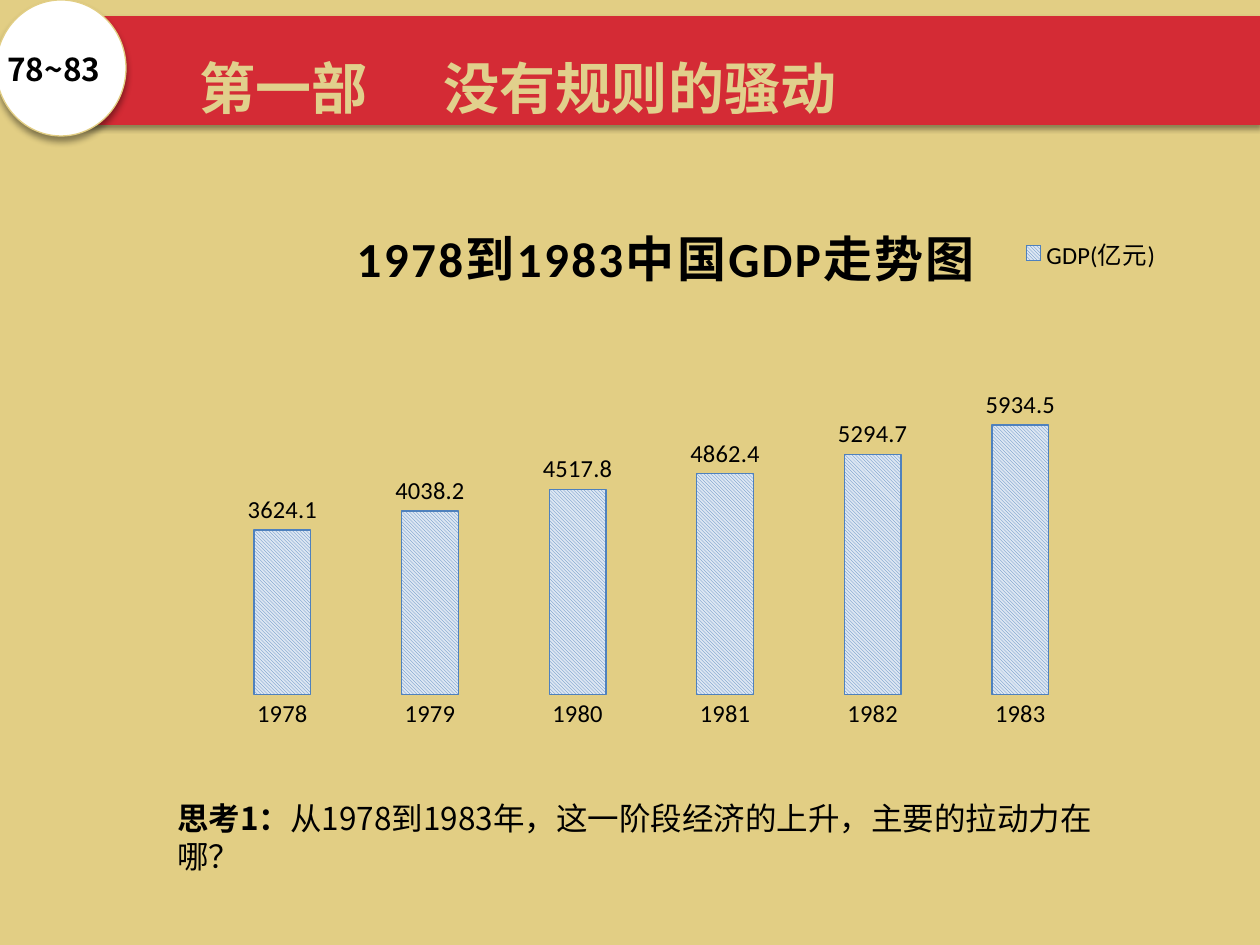
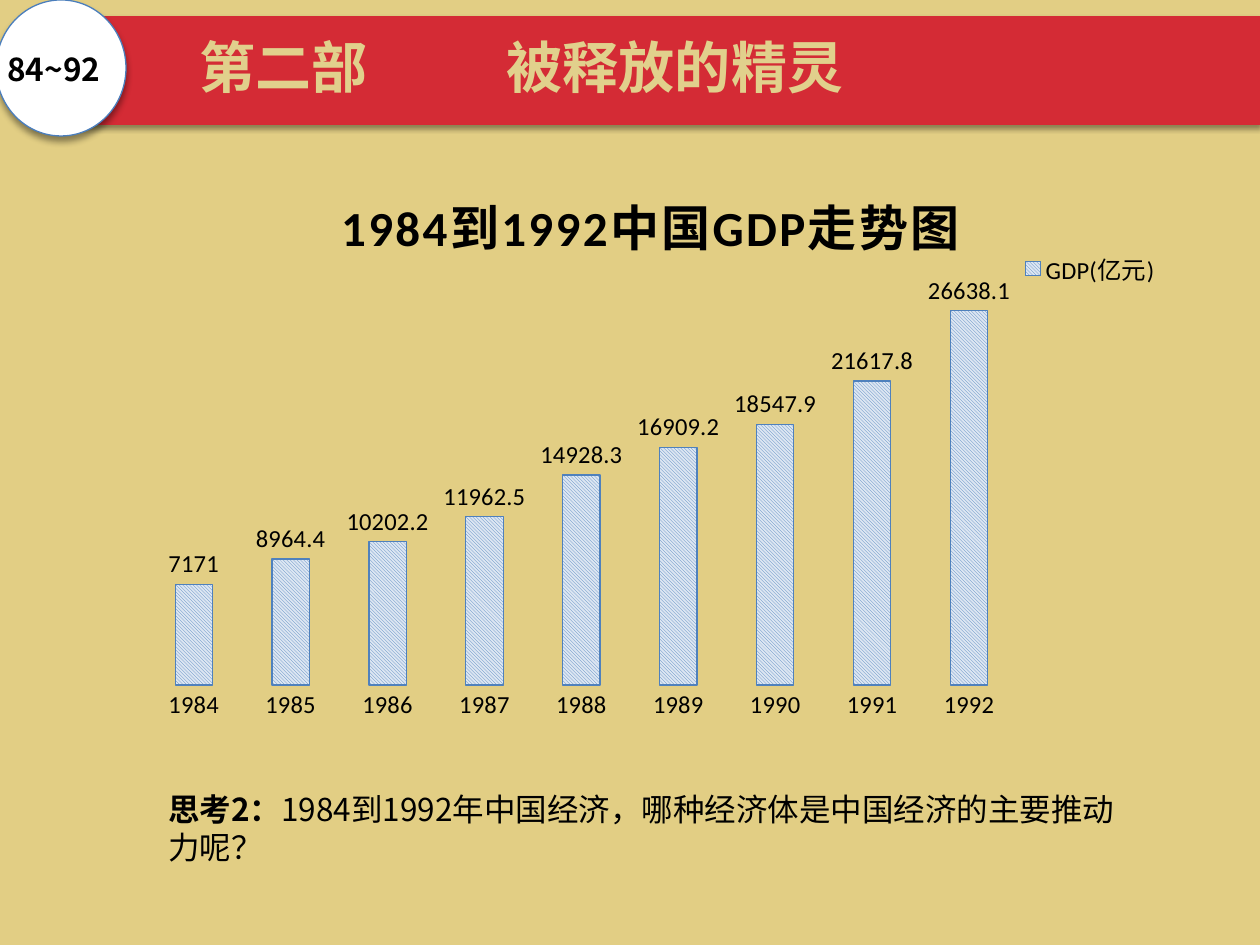
import pptx
import pptx.util
import pptx.chart.data
import pptx.dml.color
import pptx.enum.chart
import pptx.enum.dml
import pptx.enum.shapes
import pptx.enum.text
import pptx.oxml
import pptx.oxml.ns
from lxml import etree

# Shared look
EMU_PER_PX = 914400 / 126
COLOURS = {
    "sand": "E2CE84", "red": "D42B35", "title": "E1D08C", "white": "FFFFFF",
    "black": "000000", "blue": "4F81BD", "pale": "DCE6F2", "ring": "4B7EBC",
}
CJK_FONT = "Noto Sans CJK SC"
CHART_FONT = "Calibri"
ANCHOR = pptx.enum.text.MSO_ANCHOR
SHAPE = pptx.enum.shapes.MSO_SHAPE

SLIDES = [
    dict(title=("第一部", "没有规则的骚动"), title_tab=244, title_spacing=1.5,
         badge="78~83", badge_line="sand",
         chart=dict(title="1978到1983中国GDP走势图", box=(-19, 165, 1265, 595),
                    first_year=1978,
                    values=[3624.1, 4038.2, 4517.8, 4862.4, 5294.7, 5934.5],
                    top=8000, step=2000, plot=(0.18, 0.28, 0.7, 0.61),
                    title_at=(0.29, 0.07), legend_at=(0.82, 0.11)),
         question=("思考1：", "从1978到1983年，这一阶段经济的上升，主要的拉动力在哪？"),
         question_box=(165, 793, 965, 89)),
    dict(title=("第二部", "被释放的精灵"), title_tab=307, title_spacing=0.9,
         badge="84~92", badge_line="ring",
         chart=dict(title="1984到1992中国GDP走势图", box=(-54, 152, 1246, 586),
                    first_year=1984,
                    values=[7171, 8964.4, 10202.2, 11962.5, 14928.3, 16909.2,
                            18547.9, 21617.8, 26638.1],
                    top=30000, step=10000, plot=(0.16, 0.19, 0.7, 0.72),
                    title_at=(0.31, 0.04), legend_at=(0.86, 0.16)),
         question=("思考2：", "1984到1992年中国经济，哪种经济体是中国经济的主要推动力呢？"),
         question_box=(156, 784, 982, 89)),
]


def px(n):
    return pptx.util.Emu(round(n * EMU_PER_PX))


def rgb(name):
    return pptx.dml.color.RGBColor.from_string(COLOURS[name])


def set_font(font, size, colour="black", name=CJK_FONT, bold=None):
    font.size = pptx.util.Pt(size)
    font.color.rgb = rgb(colour)
    font.name = name
    font.bold = bold


def set_east_asian(r):
    ea = etree.SubElement(r.font._element, pptx.oxml.ns.qn("a:ea"))
    ea.set("typeface", CJK_FONT)


def add_run(p, text, bold=None):
    r = p.add_run()
    r.text = text
    if bold is not None:
        r.font.bold = bold
    set_east_asian(r)


def add_shadow(sp, alpha, blur, dist):
    sp.shadow.inherit = False
    effects = sp._element.spPr.find(pptx.oxml.ns.qn("a:effectLst"))
    effects.append(pptx.oxml.parse_xml(
        f'<a:outerShdw {pptx.oxml.ns.nsdecls("a")} blurRad="{round(blur * 12700)}" '
        f'dist="{round(dist * 12700)}" dir="5400000" algn="t" rotWithShape="0">'
        f'<a:srgbClr val="{COLOURS["black"]}"><a:alpha val="{alpha * 1000}"/>'
        '</a:srgbClr></a:outerShdw>'))


def add_filled(s, kind, box, fill):
    sp = s.shapes.add_shape(kind, *map(px, box))
    sp.fill.solid()
    sp.fill.fore_color.rgb = rgb(fill)
    sp.line.fill.background()
    return sp


def add_title_band(s, parts, tab, spacing):
    sp = add_filled(s, SHAPE.RECTANGLE, (35, 16, 1225, 109), "red")
    add_shadow(sp, 38, 3.1, 1.6)
    tf = sp.text_frame
    tf.word_wrap = True
    tf.vertical_anchor = ANCHOR.MIDDLE
    tf.margin_left = px(165)
    tf.margin_top = tf.margin_right = tf.margin_bottom = px(8)
    p = tf.paragraphs[0]
    p.alignment = pptx.enum.text.PP_ALIGN.LEFT
    p.line_spacing = spacing
    p._p.get_or_add_pPr().append(pptx.oxml.parse_xml(
        f'<a:tabLst {pptx.oxml.ns.nsdecls("a")}>'
        f'<a:tab pos="{px(tab)}" algn="l"/></a:tabLst>'))
    set_font(p.font, 32, "title", bold=True)
    add_run(p, "\t".join(parts))


def add_text(s, box, wrap):
    tf = s.shapes.add_textbox(*map(px, box)).text_frame
    tf.word_wrap = wrap
    tf.auto_size = pptx.enum.text.MSO_AUTO_SIZE.SHAPE_TO_FIT_TEXT
    p = tf.paragraphs[0]
    set_font(p.font, 18)
    return p


def add_badge(s, years, line):
    sp = add_filled(s, SHAPE.OVAL, (-4, 0, 130, 136), "white")
    sp.line.color.rgb = rgb(line)
    sp.line.width = pptx.util.Pt(0.75)
    add_shadow(sp, 40, 4, 3)
    p = add_text(s, (-5, 44, 128, 50), False)
    p.font.bold = True
    add_run(p, years)


def add_question(s, box, label, question):
    p = add_text(s, box, True)
    add_run(p, label, True)
    add_run(p, question, False)


def place(parent, after, fractions, inner=False):
    """Set the manual layout of a chart part, following its child `after`."""
    qn = pptx.oxml.ns.qn
    for old in parent.findall(qn("c:layout")):
        parent.remove(old)
    target = '<c:layoutTarget val="inner"/>' if inner else ""
    modes = '<c:xMode val="edge"/><c:yMode val="edge"/>'
    sizes = "".join(f'<c:{k} val="{v}"/>' for k, v in zip("xywh", fractions))
    layout = pptx.oxml.parse_xml(
        f'<c:layout {pptx.oxml.ns.nsdecls("c")}><c:manualLayout>'
        f'{target}{modes}{sizes}</c:manualLayout></c:layout>')
    parent.insert(parent.index(parent.find(qn(after))) + 1 if after else 0, layout)


def add_gdp_chart(s, title, box, first_year, values, top, step, plot,
                  title_at, legend_at):
    enum = pptx.enum.chart
    data = pptx.chart.data.CategoryChartData()
    data.categories = [str(first_year + i) for i in range(len(values))]
    data.add_series("GDP(亿元)", values)
    chart = s.shapes.add_chart(enum.XL_CHART_TYPE.COLUMN_CLUSTERED,
                               *map(px, box), data).chart
    set_font(chart.font, 14, name=CHART_FONT)

    # Title and legend
    chart.has_title = True
    p = chart.chart_title.text_frame.paragraphs[0]
    set_font(p.font, 28, name=CHART_FONT, bold=True)
    p.font._element.set("spc", "150")
    add_run(p, title)
    chart.has_legend = True
    chart.legend.position = enum.XL_LEGEND_POSITION.TOP
    chart.legend.include_in_layout = False
    set_font(chart.legend.font, 14, name=CHART_FONT)

    # Axes
    years, amounts = chart.category_axis, chart.value_axis
    years.major_tick_mark = enum.XL_TICK_MARK.NONE
    years.format.line.fill.background()
    set_font(years.tick_labels.font, 14, name=CHART_FONT)
    amounts.visible = False
    amounts.has_major_gridlines = False
    amounts.minimum_scale, amounts.maximum_scale = 0, top
    amounts.major_unit = step

    # Columns and their labels
    columns = chart.plots[0]
    columns.gap_width = 160
    columns.vary_by_categories = False
    bar = columns.series[0].format
    bar.fill.patterned()
    bar.fill.pattern = pptx.enum.dml.MSO_PATTERN.LIGHT_DOWNWARD_DIAGONAL
    bar.fill.fore_color.rgb = rgb("blue")
    bar.fill.back_color.rgb = rgb("pale")
    bar.line.color.rgb = rgb("blue")
    bar.line.width = pptx.util.Pt(0.75)
    columns.has_data_labels = True
    labels = columns.data_labels
    labels.show_value = True
    labels.position = enum.XL_LABEL_POSITION.OUTSIDE_END
    set_font(labels.font, 14, name=CHART_FONT)

    # Manual positions
    root = chart.element
    place(root.xpath("c:chart/c:title")[0], "c:tx", title_at)
    place(root.xpath("c:chart/c:legend")[0], "c:legendPos", legend_at)
    place(root.xpath("c:chart/c:plotArea")[0], None, plot, inner=True)


def main():
    prs = pptx.Presentation()
    prs.slide_width, prs.slide_height = px(1260), px(945)
    for content in SLIDES:
        s = prs.slides.add_slide(prs.slide_layouts[6])
        s.background.fill.solid()
        s.background.fill.fore_color.rgb = rgb("sand")
        add_title_band(s, content["title"], content["title_tab"],
                       content["title_spacing"])
        add_badge(s, content["badge"], content["badge_line"])
        add_gdp_chart(s, **content["chart"])
        add_question(s, content["question_box"], *content["question"])
    prs.save("out.pptx")


if __name__ == "__main__":
    main()
